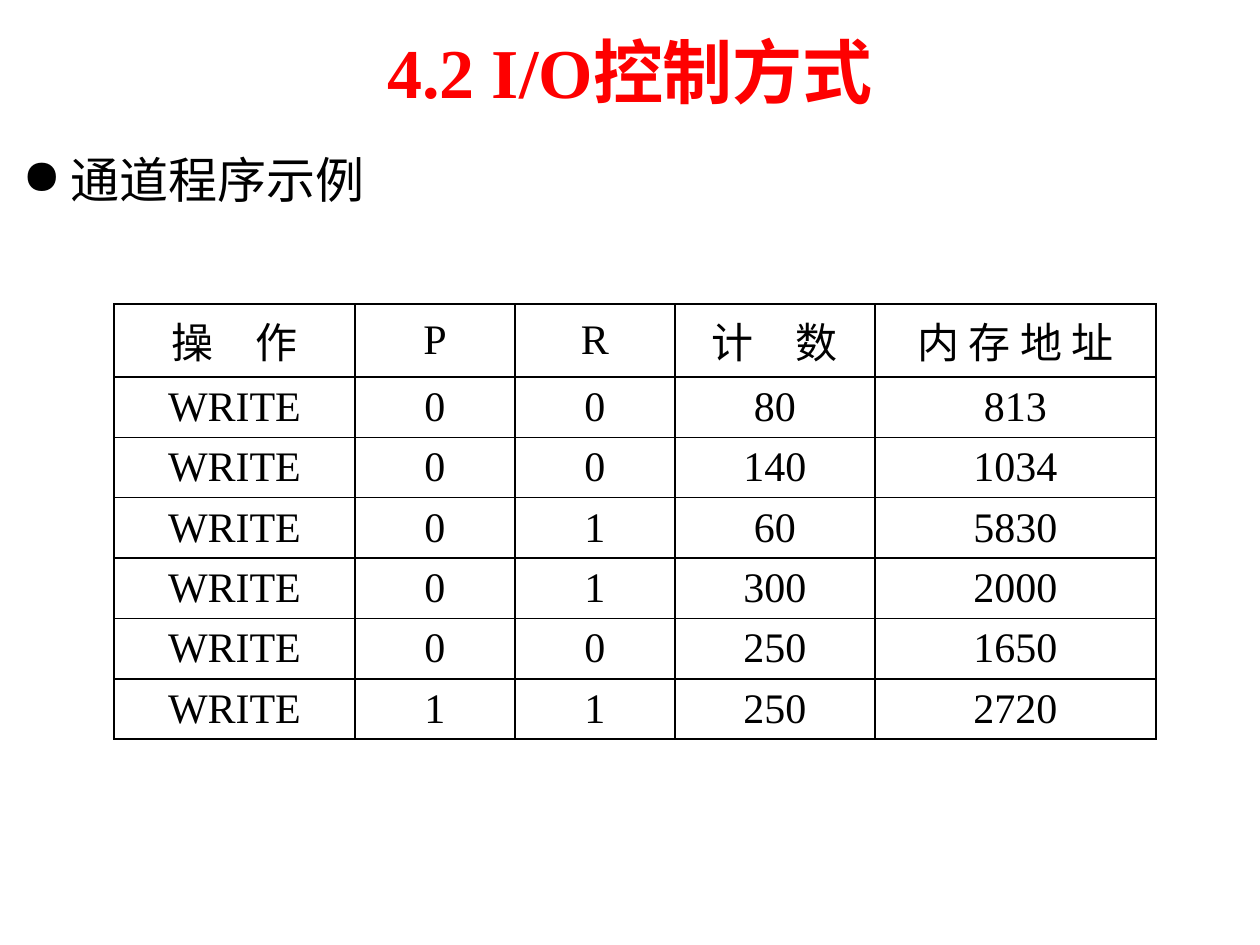
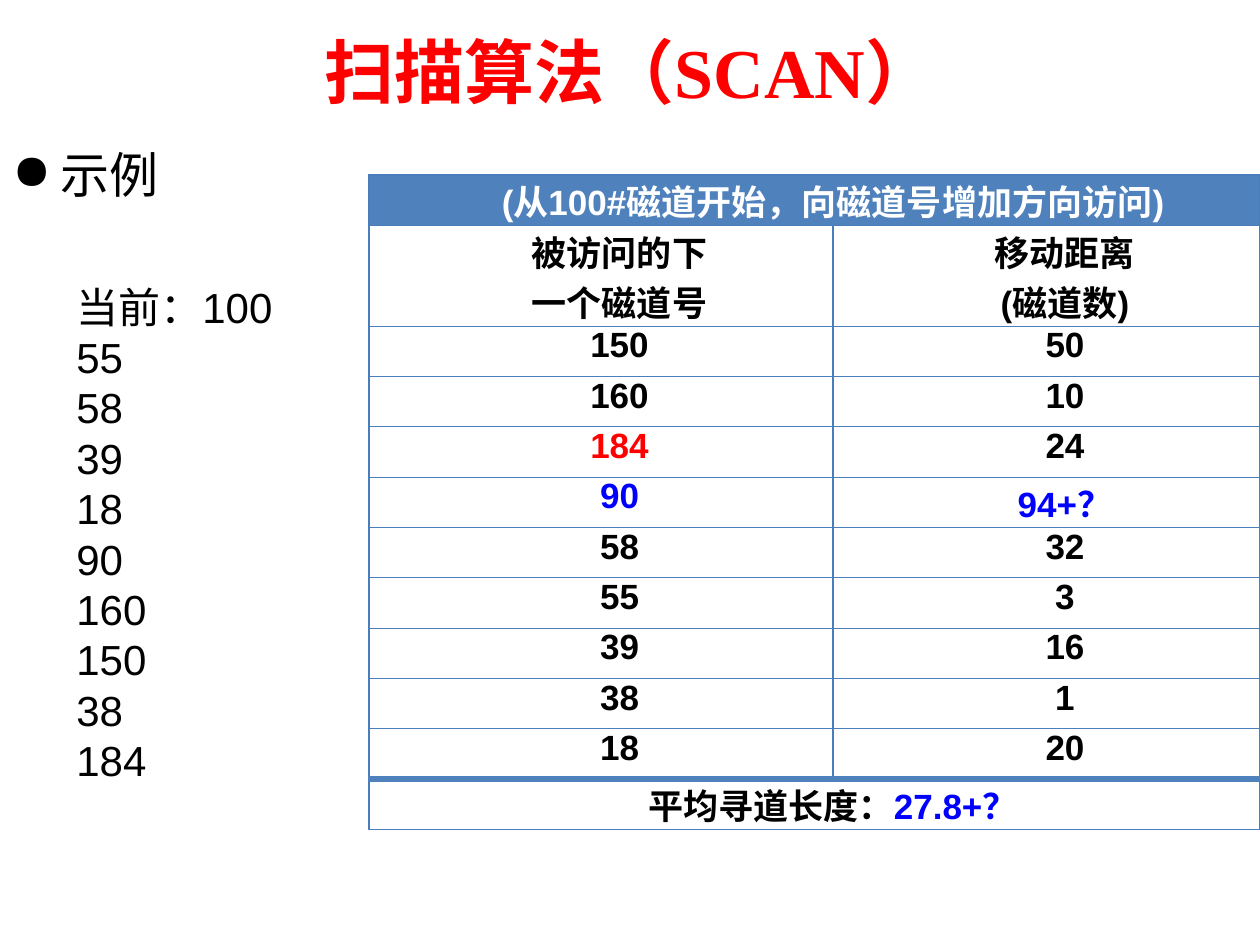
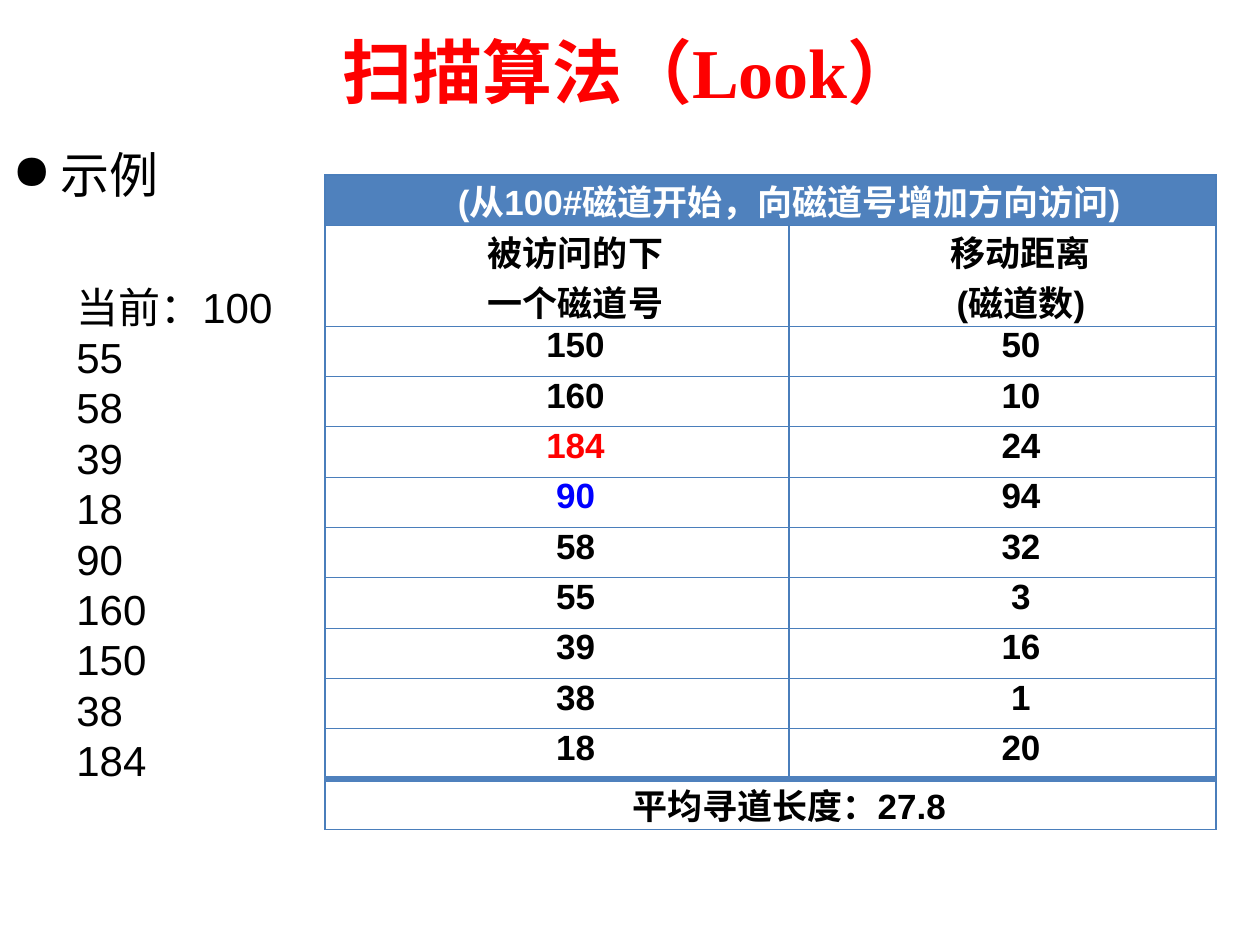
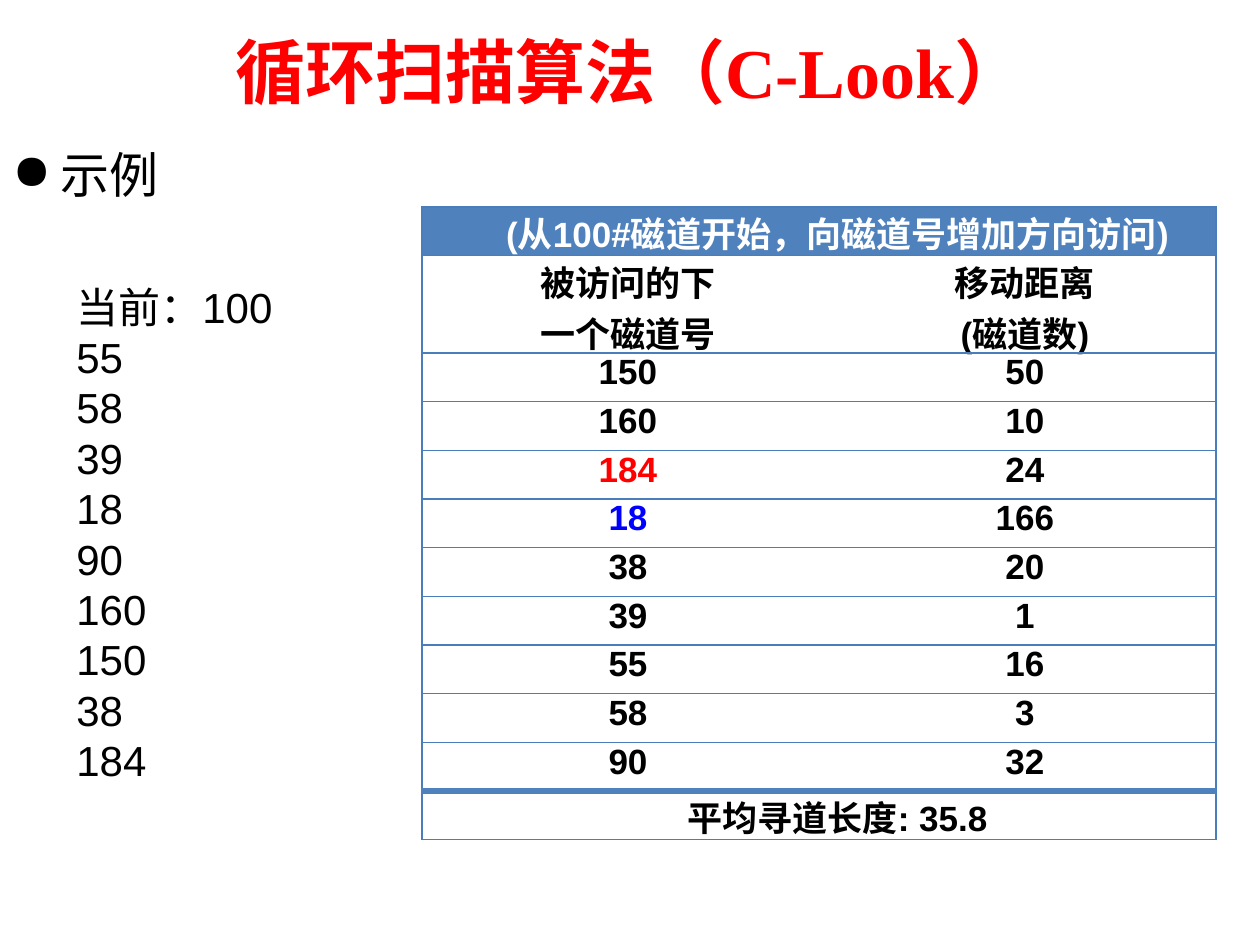
from dataclasses import dataclass
from typing import NamedTuple

import pptx
import pptx.dml.color
import pptx.enum.text
import pptx.oxml.ns
import pptx.util
from lxml import etree

EMU_PER_PX = 914400 / 126
COLORS = {
    "title": "FE0000", "text": "000000", "white": "FFFFFF", "header": "4F81BD",
    "grid": "4A7EBB", "turn": "FF0000", "back": "0000FF",
}
SERIF, SANS = "Times New Roman", "Arial"
ALIGN = pptx.enum.text.PP_ALIGN
MIDDLE = pptx.enum.text.MSO_ANCHOR.MIDDLE


class Box(NamedTuple):
    x: int
    y: int
    w: int
    h: int


class Run(NamedTuple):
    text: str
    color: str


class Border(NamedTuple):
    color: str
    width: float


TITLE_BOX = Box(63, 6, 1134, 129)
WIDE_TITLE_BOX = Box(0, 6, 1260, 129)
EXAMPLE_BOX = Box(0, 145, 1260, 699)
QUEUE_BOX = Box(64, 275, 226, 515)

THIN = Border("grid", 0.75)
THICK = Border("header", 4)
BLACK = Border("text", 1)

REQUESTS = ["当前：100", "55", "58", "39", "18", "90", "160", "150", "38", "184"]
SEEK_HEADINGS = (["被访问的下", "一个磁道号"], ["移动距离", "(磁道数)"])
CHANNEL_PROGRAM = [
    ("操　作", "P", "R", "计　数", "内 存 地 址"),
    ("WRITE", "0", "0", "80", "813"),
    ("WRITE", "0", "0", "140", "1034"),
    ("WRITE", "0", "1", "60", "5830"),
    ("WRITE", "0", "1", "300", "2000"),
    ("WRITE", "0", "0", "250", "1650"),
    ("WRITE", "1", "1", "250", "2720"),
]


@dataclass
class SeekSlide:
    title: str
    box: Box
    cols: tuple
    moves: list
    average: list
    title_box: Box = TITLE_BOX
    divider: bool = True


SEEK_SLIDES = [
    SeekSlide(
        "扫描算法（SCAN）", Box(369, 175, 891, 655), (464, 427),
        [("150", "50"), ("160", "10"), (Run("184", "turn"), "24"),
         (Run("90", "back"), Run("94+？", "back")), ("58", "32"), ("55", "3"),
         ("39", "16"), ("38", "1"), ("18", "20")],
        [Run("平均寻道长度：", "text"), Run("27.8+？", "back")]),
    SeekSlide(
        "扫描算法（Look）", Box(325, 175, 891, 655), (464, 427),
        [("150", "50"), ("160", "10"), (Run("184", "turn"), "24"),
         (Run("90", "back"), "94"), ("58", "32"), ("55", "3"),
         ("39", "16"), ("38", "1"), ("18", "20")],
        [Run("平均寻道长度：27.8", "text")]),
    SeekSlide(
        "循环扫描算法（C-Look）", Box(422, 207, 794, 633), (375, 419),
        [("150", "50"), ("160", "10"), (Run("184", "turn"), "24"),
         (Run("18", "back"), "166"), ("38", "20"), ("39", "1"),
         ("55", "16"), ("58", "3"), ("90", "32")],
        [Run("平均寻道长度: 35.8", "text")],
        title_box=WIDE_TITLE_BOX, divider=False),
]


def px(n: float) -> pptx.util.Emu:
    return pptx.util.Emu(round(n * EMU_PER_PX))


def rgb(name: str) -> pptx.dml.color.RGBColor:
    return pptx.dml.color.RGBColor.from_string(COLORS[name])


def write(tf, paragraphs: list, *, size: int, font: str, color: str = "text",
          bold: bool = False, align=ALIGN.LEFT, left: int = 0, indent: int = 0,
          bullet: str = "", spacing=None, after: float = 0) -> None:
    """Fill a text frame; a paragraph is a string, a Run or a list of Runs."""
    for i, content in enumerate(paragraphs):
        p = tf.paragraphs[0] if i == 0 else tf.add_paragraph()
        p.alignment = align
        p.space_after = pptx.util.Pt(after)
        if spacing:
            p.line_spacing = spacing
        pPr = p._p.get_or_add_pPr()
        pPr.set("marL", str(px(left)))
        pPr.set("indent", str(px(indent)))
        if bullet:
            etree.SubElement(pPr, pptx.oxml.ns.qn("a:buChar")).set("char", bullet)
        if isinstance(content, str):
            content = Run(content, color)
        for run in [content] if isinstance(content, Run) else content:
            r = p.add_run()
            r.text = run.text
            r.font.size = pptx.util.Pt(size)
            r.font.name = font
            r.font.bold = bold
            r.font.color.rgb = rgb(run.color)


def add_text(slide, box: Box, paragraphs: list, *, anchor=None, **fmt) -> None:
    tf = slide.shapes.add_textbox(*map(px, box)).text_frame
    tf.word_wrap = True
    if anchor is not None:
        tf.vertical_anchor = anchor
    write(tf, paragraphs, **fmt)


def add_title(slide, title: str, box: Box = TITLE_BOX) -> None:
    add_text(slide, box, [title], anchor=MIDDLE, size=40, font=SERIF,
             color="title", bold=True, align=ALIGN.CENTER)


def add_bullet(slide, box: Box, text: str) -> None:
    add_text(slide, box, [text], size=28, font=SERIF, left=48, indent=-48,
             bullet="●", spacing=0.9, after=2.8)


def add_table(slide, box: Box, cols: tuple, heights: list):
    table = slide.shapes.add_table(len(heights), len(cols), *map(px, box)).table
    table.first_row = table.horz_banding = False
    for column, width in zip(table.columns, cols):
        column.width = px(width)
    for row, height in zip(table.rows, heights):
        row.height = px(height)
    return table


def style_cell(cell, *, borders: dict, margins: tuple, fill: str = "") -> None:
    """Set margins (side, top), fill and the four borders of a cell."""
    cell.margin_left = cell.margin_right = px(margins[0])
    cell.margin_top = cell.margin_bottom = px(margins[1])
    if fill:
        cell.fill.solid()
        cell.fill.fore_color.rgb = rgb(fill)
    else:
        cell.fill.background()
    qn = pptx.oxml.ns.qn
    tcPr = cell._tc.get_or_add_tcPr()
    for i, side in enumerate("LRTB"):
        ln = etree.Element(qn(f"a:ln{side}"))
        border = borders.get(side)
        if border:
            ln.set("w", str(pptx.util.Pt(border.width)))
            solid = etree.SubElement(ln, qn("a:solidFill"))
            etree.SubElement(solid, qn("a:srgbClr")).set("val", COLORS[border.color])
        else:
            etree.SubElement(ln, qn("a:noFill"))
        tcPr.insert(i, ln)


def build_channel_slide(slide) -> None:
    add_title(slide, "4.2 I/O控制方式")
    add_bullet(slide, Box(10, 150, 1226, 689), "通道程序示例")
    heights = [73] + [59] * (len(CHANNEL_PROGRAM) - 1)
    table = add_table(slide, Box(114, 304, 1042, sum(heights)),
                      (241, 160, 160, 200, 281), heights)
    for i, row in enumerate(CHANNEL_PROGRAM):
        for j, value in enumerate(row):
            cell = table.cell(i, j)
            style_cell(cell, borders=dict.fromkeys("LRTB", BLACK), margins=(12, 5))
            cell.vertical_anchor = MIDDLE
            write(cell.text_frame, [value], size=24, font=SERIF, align=ALIGN.CENTER)


def build_seek_slide(slide, spec: SeekSlide) -> None:
    add_title(slide, spec.title, spec.title_box)
    add_bullet(slide, EXAMPLE_BOX, "示例")
    add_text(slide, QUEUE_BOX, REQUESTS, size=24, font=SANS,
             spacing=pptx.util.Pt(28.8))

    # The headings take two row units, every other row one
    rows = [("(从100#磁道开始，向磁道号增加方向访问)", ""), SEEK_HEADINGS,
            *spec.moves, (spec.average, "")]
    last = len(rows) - 1
    unit = spec.box.h / (len(rows) + 1)
    heights = [2 * unit if i == 1 else unit for i in range(len(rows))]
    table = add_table(slide, spec.box, spec.cols, heights)
    for i, row in enumerate(rows):
        merged = i in (0, last)
        for j, value in enumerate(row):
            cell = table.cell(i, j)
            borders = dict.fromkeys("LRTB", THIN)
            if not spec.divider and not merged:
                del borders["L" if j else "R"]
            if i == last - 1:
                borders["B"] = THICK
            if i == last:
                borders["T"] = THICK
            style_cell(cell, borders=borders, margins=(9, 0),
                       fill="" if i else "header")
            if value:
                paragraphs = value if i == 1 else [value]
                write(cell.text_frame, paragraphs, size=20, font=SANS, bold=True,
                      color="text" if i else "white", align=ALIGN.CENTER, indent=37)
        if merged:
            table.cell(i, 0).merge(table.cell(i, 1))


def main() -> None:
    prs = pptx.Presentation()
    prs.slide_width, prs.slide_height = px(1260), px(945)
    blank = prs.slide_layouts[6]
    build_channel_slide(prs.slides.add_slide(blank))
    for seek in SEEK_SLIDES:
        build_seek_slide(prs.slides.add_slide(blank), seek)
    prs.save("out.pptx")


if __name__ == "__main__":
    main()
